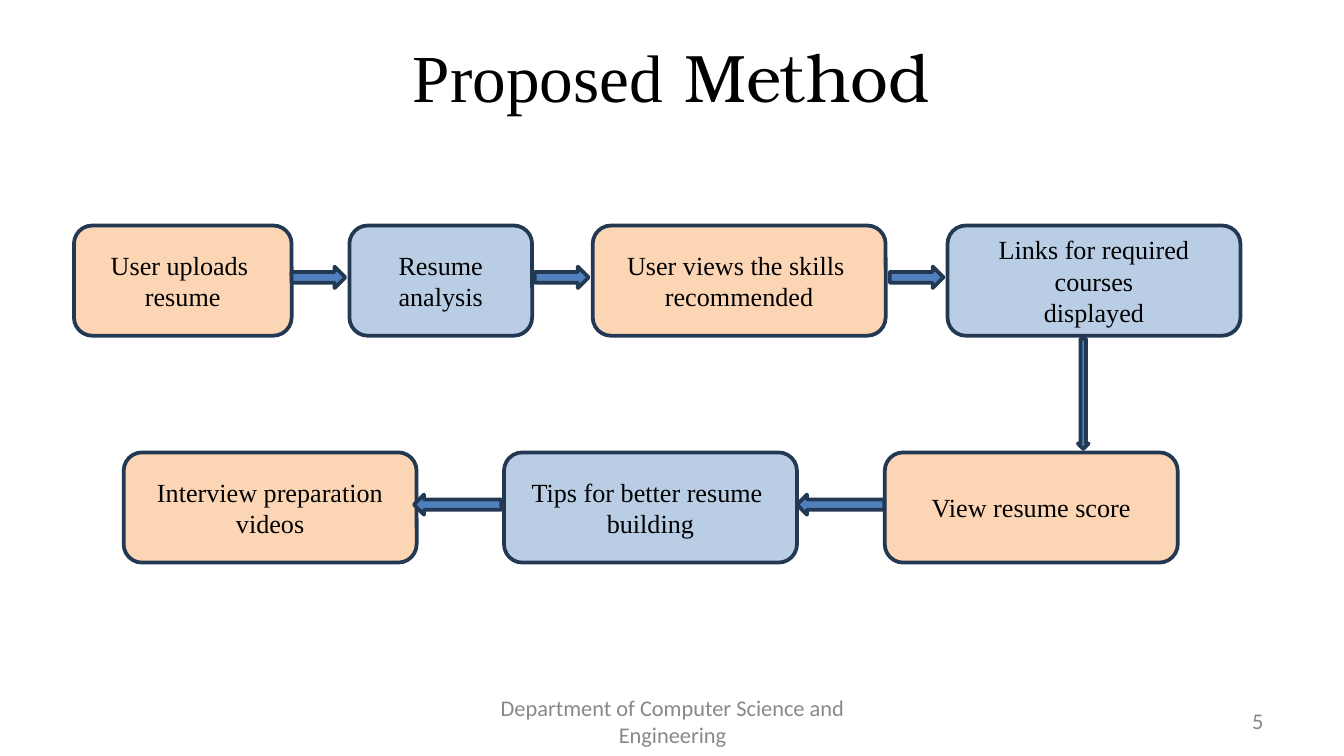
from dataclasses import dataclass

from pptx import Presentation
from pptx.dml.color import RGBColor
from pptx.enum.shapes import MSO_SHAPE
from pptx.enum.text import MSO_ANCHOR, MSO_AUTO_SIZE, PP_ALIGN
from pptx.util import Inches, Pt


@dataclass(frozen=True)
class Theme:
    """Colours, fonts and type sizes of the slide."""
    peach: str = "FCD5B5"
    sky: str = "B9CDE5"
    arrow: str = "4F81BD"
    outline: str = "233953"
    ink: str = "000000"
    muted: str = "888888"
    serif: str = "Times New Roman"
    display: str = "TeX Gyre Bonum"
    sans: str = "Calibri"
    title_size: int = 36
    step_size: int = 14
    footer_size: int = 12
    outline_width: int = 2


THEME = Theme()
COLUMNS, ROWS = 100, 56.25
STEP_HEIGHT, WIDE = 8.2, 21.8
UPPER_ROW, LOWER_ROW = 16.78, 33.66

STEPS = [
    ("User uploads \nresume", 5.5, UPPER_ROW, 16.2, THEME.peach),
    ("User views the skills \vrecommended", 44.1, UPPER_ROW, WIDE, THEME.peach),
    ("Resume\vanalysis", 26, UPPER_ROW, 13.6, THEME.sky),
    ("Links for required courses\vdisplayed", 70.5, UPPER_ROW, WIDE, THEME.sky),
    ("View resume score", 65.83, LOWER_ROW, WIDE, THEME.peach),
    ("Interview preparation videos", 9.2, LOWER_ROW, WIDE, THEME.peach),
    ("Tips for better resume \vbuilding", 37.5, LOWER_ROW, WIDE, THEME.sky),
]


def grid(*cells):
    """Turn grid columns and rows, ten to the inch, into lengths."""
    return [Inches(cell / 10) for cell in cells]


def style_text(frame, font, size, color, align=PP_ALIGN.CENTER):
    """Format every run of a text frame and centre it vertically."""
    frame.word_wrap = True
    frame.auto_size = MSO_AUTO_SIZE.NONE
    frame.vertical_anchor = MSO_ANCHOR.MIDDLE
    for para in frame.paragraphs:
        para.alignment = align
        for span in para.runs:
            span.font.name = font
            span.font.size = Pt(size)
            span.font.color.rgb = RGBColor.from_string(color)


def add_outlined(page, kind, cells, fill):
    """Add a filled shape with the common outline."""
    shape = page.shapes.add_shape(kind, *grid(*cells))
    shape.shadow.inherit = False
    shape.fill.solid()
    shape.fill.fore_color.rgb = RGBColor.from_string(fill)
    shape.line.color.rgb = RGBColor.from_string(THEME.outline)
    shape.line.width = Pt(THEME.outline_width)
    return shape


def add_step(page, text, left, top, width, fill):
    """Add one rounded step of the process."""
    cells = (left, top, width, STEP_HEIGHT)
    box = add_outlined(page, MSO_SHAPE.ROUNDED_RECTANGLE, cells, fill)
    box.text_frame.text = text
    style_text(box.text_frame, THEME.serif, THEME.step_size, THEME.ink)


def add_arrows(page):
    """Add the block arrows that lead from step to step."""
    for left in (21.7, 39.8, 66.2):
        add_outlined(page, MSO_SHAPE.RIGHT_ARROW, (left, UPPER_ROW + 3.06, 4, 1.6), THEME.arrow)
    add_outlined(page, MSO_SHAPE.DOWN_ARROW, (80.2, 25.2, 0.8, STEP_HEIGHT), THEME.arrow)
    for left in (59.3, 30.8):
        add_outlined(page, MSO_SHAPE.LEFT_ARROW, (left, LOWER_ROW + 3.14, 6.5, 1.5), THEME.arrow)


def set_title(page):
    """Place the title and set its second word in the display font."""
    title = page.shapes.title
    title.left, title.top, title.width, title.height = grid(26.8, 2.2, 46.3, 6.9)
    para = title.text_frame.paragraphs[0]
    for word in ("Proposed", " Method"):
        para.add_run().text = word
    style_text(title.text_frame, THEME.serif, THEME.title_size, THEME.ink)
    para.runs[1].font.name = THEME.display


def add_footer(page, text, left, width, align):
    """Add a muted text on the footer row."""
    box = page.shapes.add_textbox(*grid(left, 52.14, width, 3))
    box.text_frame.text = text
    style_text(box.text_frame, THEME.sans, THEME.footer_size, THEME.muted, align)


def main():
    """Build and save the slide."""
    deck = Presentation()
    deck.slide_width, deck.slide_height = grid(COLUMNS, ROWS)
    page = deck.slides.add_slide(deck.slide_layouts[5])
    set_title(page)
    add_footer(page, "5", 71.7, 23.3, PP_ALIGN.RIGHT)
    add_footer(page, "Department of Computer Science and Engineering", 34.2, 31.7, PP_ALIGN.CENTER)
    for step in STEPS:
        add_step(page, *step)
    add_arrows(page)
    deck.save("out.pptx")


if __name__ == "__main__":
    main()
